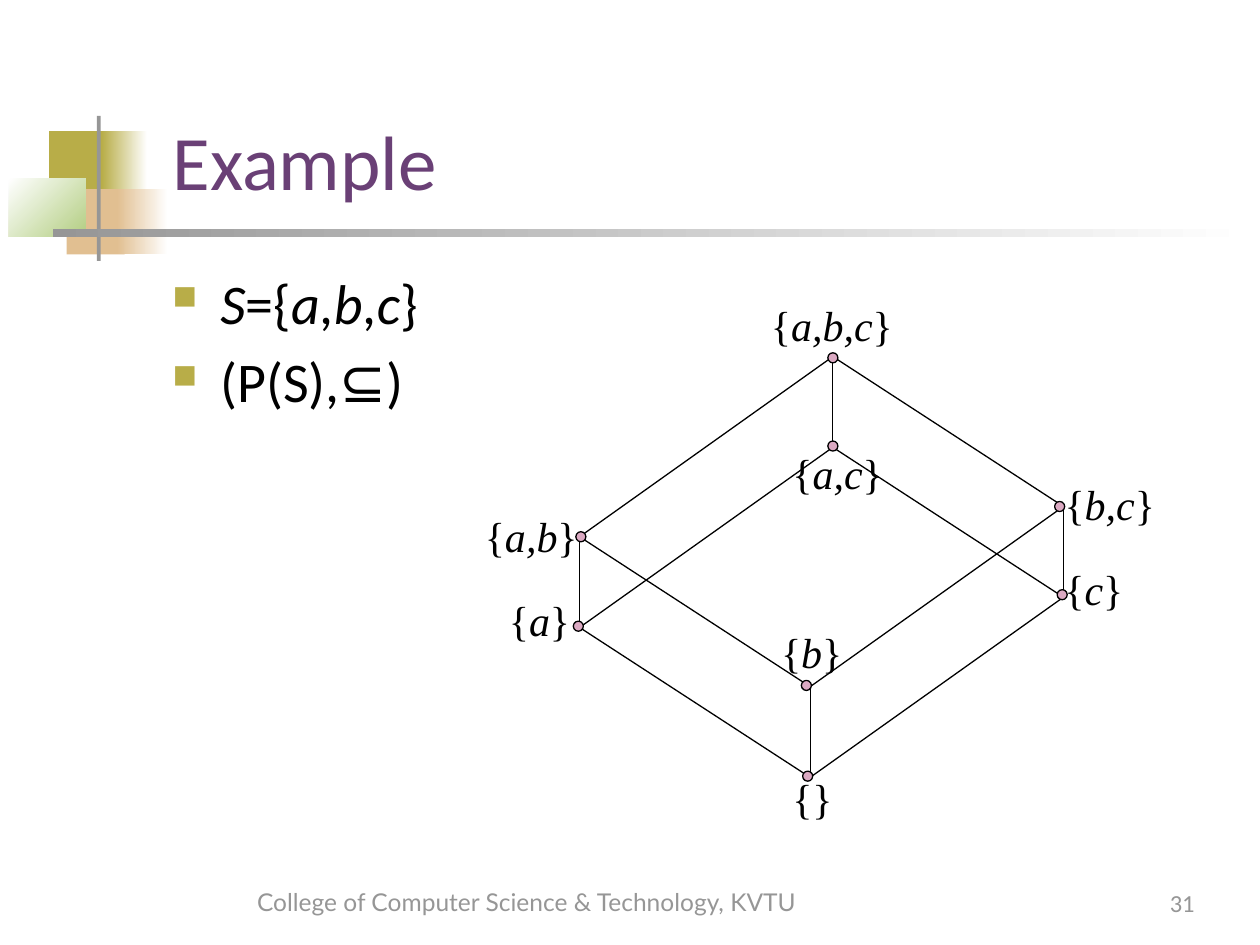
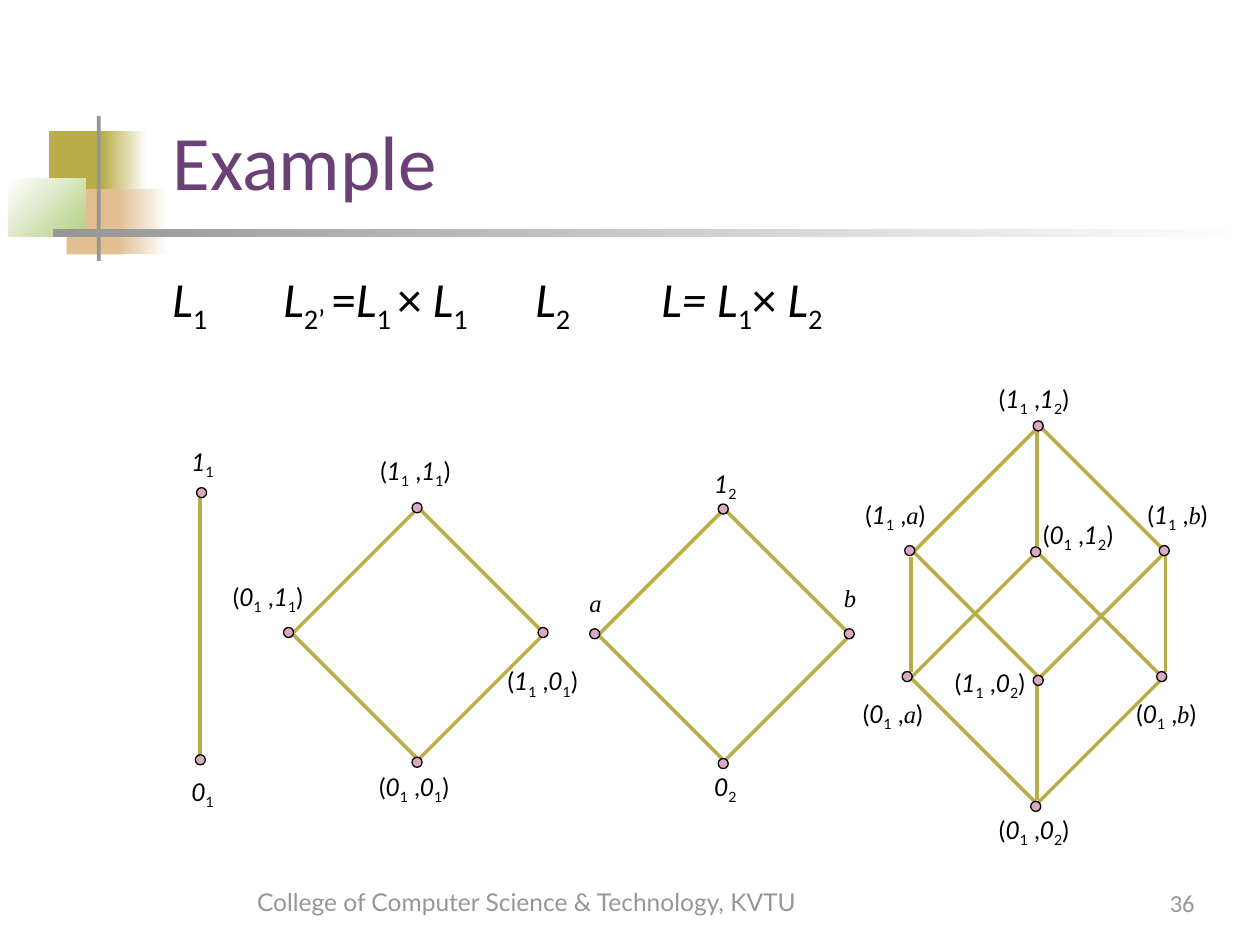
import itertools

import pptx
import pptx.dml.color
import pptx.enum.shapes
import pptx.enum.text
import pptx.oxml
import pptx.oxml.ns
import pptx.util
from pptx.util import Inches

SHAPE = pptx.enum.shapes.MSO_SHAPE
ANCHOR = pptx.enum.text.MSO_ANCHOR
ALIGN = pptx.enum.text.PP_ALIGN

OLIVE, TAN, GREEN, GRAY = "B8AD48", "E1BF91", "B3CE82", "969696"
PURPLE, PINK, BLACK, WHITE = "6A4076", "DBA9C2", "000000", "FFFFFF"
SANS, LABEL_FONT, SERIF = "Calibri", "Lato", "Times New Roman"
DOT_SIZE = 0.08
DIAMOND_SIZE = 2

# left, top, width, height, fill colour or gradient (start, end, angle)
DECORATIONS = [
    (0.39, 1.04, 0.48, 0.52, OLIVE),
    (0.81, 1.04, 0.36, 0.52, (OLIVE, WHITE, 0)),
    (0.53, 1.5, 0.46, 0.52, TAN),
    (0.93, 1.5, 0.4, 0.52, (TAN, WHITE, 0)),
    (0.07, 1.42, 0.61, 0.46, (WHITE, GREEN, 315)),
    (0.77, 0.92, 0.03, 1.15, GRAY),
    (0.42, 1.82, 9.51, 0.06, (GRAY, WHITE, 0)),
]

# Each generator of the power set moves a vertex of the cube by a fixed step.
EMPTY_SET_POINT = (6.43, 6.17)
GENERATOR_STEPS = {"a": (-1.83, -1.19), "b": (0, -0.72), "c": (2.01, -1.43)}

# subset: dot position, label position and label width
SUBSETS = {
    "": ((6.37, 6.12), (6.19, 6.08), 0.52),
    "a": ((4.55, 4.93), (3.94, 4.67), 0.75),
    "b": ((6.36, 5.4), (6.1, 4.92), 0.69),
    "c": ((8.39, 4.68), (8.35, 4.42), 0.67),
    "ab": ((4.57, 4.22), (3.75, 4), 0.94),
    "ac": ((6.57, 3.5), (6.19, 3.5), 0.92),
    "bc": ((8.37, 3.98), (8.35, 3.75), 0.92),
    "abc": ((6.57, 2.8), (6.02, 2.33), 1.17),
}

LATTICE_HEADINGS = ["*L*_1_", "*L*_2’ _=*L*_1 _× *L*_1_", "*L*_2_", "*L= L*_1_× *L*_2_"]
DIAMONDS = [(4.75, 4.04), (2.32, 4.03), (7.25, 3.38), (7.23, 4.38)]
CHAIN_DOTS = [(1.55, 5.99), (1.56, 3.87)]
LATTICE_LINES = [
    ((1.59, 3.95), (1.59, 6.03)),
    ((7.23, 4.42), (7.23, 5.33)),
    ((9.25, 4.41), (9.25, 5.33)),
    ((8.23, 5.43), (8.23, 6.35)),
    ((8.23, 3.41), (8.23, 4.33)),
]
ELEMENT_LABELS = [
    (1.42, 3.5, "11"), (1.42, 6.12, "01"),
    (5.57, 3.67, "12"), (5.57, 6.08, "02"),
    (4.58, 4.62, "a"), (6.6, 4.58, "b"),
]
PAIR_LABELS = [
    (2.92, 3.57, "11", "11"), (2.91, 6.08, "01", "01"),
    (1.75, 4.57, "01", "11"), (3.93, 5.24, "11", "01"),
    (7.83, 3, "11", "12"), (7.83, 6.42, "01", "02"),
    (6.77, 3.92, "11", "a"), (6.75, 5.5, "01", "a"),
    (9.01, 3.92, "11", "b"), (8.92, 5.5, "01", "b"),
    (8.18, 4.08, "01", "12"), (7.48, 5.25, "11", "02"),
]


def color(hex_string):
    return pptx.dml.color.RGBColor.from_string(hex_string)


def styled_pieces(markup):
    """Yield (text, styles); * toggles italic, _ subscript and ^ serif."""
    styles, text = set(), ""
    for character in markup:
        if character in "*_^":
            if text:
                yield text, frozenset(styles)
            text = ""
            styles ^= {character}
        else:
            text += character
    if text:
        yield text, frozenset(styles)


def write_markup(paragraph, markup, size, font, hex_color=BLACK):
    for text, styles in styled_pieces(markup):
        run = paragraph.add_run()
        run.text = text
        run.font.size = pptx.util.Pt(size)
        run.font.name = SERIF if "^" in styles else font
        run.font.color.rgb = color(hex_color)
        run.font.italic = "*" in styles
        if "_" in styles:
            run._r.get_or_add_rPr().set("baseline", "-25000")


def add_text(slide, box, markup, size, font, hex_color=BLACK,
             anchor=ANCHOR.TOP, align=ALIGN.LEFT, wrap=True):
    shape = slide.shapes.add_textbox(*map(Inches, box))
    frame = shape.text_frame
    frame.word_wrap = wrap
    frame.vertical_anchor = anchor
    if not wrap:
        frame.auto_size = pptx.enum.text.MSO_AUTO_SIZE.SHAPE_TO_FIT_TEXT
    for index, line in enumerate(markup.split("\n")):
        paragraph = frame.paragraphs[0] if index == 0 else frame.add_paragraph()
        paragraph.alignment = align
        write_markup(paragraph, line, size, font, hex_color)
    return shape


def add_body(slide, markup, size, bulleted):
    shape = add_text(slide, (1.27, 2.08, 8.5, 4.5), markup, size, SANS)
    for paragraph in shape.text_frame.paragraphs:
        paragraph.space_before = pptx.util.Pt(size * 0.2)
        properties = paragraph._p.get_or_add_pPr()
        properties.set("marL", str(Inches(0.38)))
        properties.set("indent", str(Inches(-0.38)))
        if bulleted:
            namespace = pptx.oxml.ns.nsdecls("a")
            for xml in (
                f'<a:buClr {namespace}><a:srgbClr val="{OLIVE}"/></a:buClr>',
                f'<a:buSzPct {namespace} val="60000"/>',
                f'<a:buChar {namespace} char="■"/>',
            ):
                properties.append(pptx.oxml.parse_xml(xml))


def add_preset(slide, preset, box, fill=None, line=None, line_width=0.75):
    shape = slide.shapes.add_shape(preset, *map(Inches, box))
    shape.shadow.inherit = False
    if fill is None:
        shape.fill.background()
    elif isinstance(fill, tuple):
        start, end, angle = fill
        shape.fill.gradient()
        shape.fill.gradient_angle = angle
        for stop, position, stop_color in zip(shape.fill.gradient_stops, (0, 1), (start, end)):
            stop.position = position
            stop.color.rgb = color(stop_color)
    else:
        shape.fill.solid()
        shape.fill.fore_color.rgb = color(fill)
    if line is None:
        shape.line.fill.background()
    else:
        shape.line.color.rgb = color(line)
        shape.line.width = pptx.util.Pt(line_width)


def add_line(slide, start, end, hex_color, width):
    connector = slide.shapes.add_connector(
        pptx.enum.shapes.MSO_CONNECTOR.STRAIGHT, *map(Inches, (*start, *end)))
    connector.line.color.rgb = color(hex_color)
    connector.line.width = pptx.util.Pt(width)
    effects = f'<a:effectLst {pptx.oxml.ns.nsdecls("a")}/>'
    connector._element.spPr.append(pptx.oxml.parse_xml(effects))


def add_dot(slide, left, top):
    add_preset(slide, SHAPE.OVAL, (left, top, DOT_SIZE, DOT_SIZE), PINK, BLACK)


def add_diamond(slide, left, top):
    """Draw a four-element lattice: a diamond with a dot at each corner."""
    add_preset(slide, SHAPE.DIAMOND, (left, top, DIAMOND_SIZE, DIAMOND_SIZE),
               line=OLIVE, line_width=2)
    for across, down in ((0.95, -0.04), (0.95, 1.98), (-0.07, 0.95), (1.95, 0.95)):
        add_dot(slide, left + across, top + down)


def element(name):
    """Mark up a lattice element: a serif letter, or a digit with its index."""
    return f"^*{name}*^" if name.isalpha() else f"*{name[0]}*_{name[1:]}_"


def add_lattice_label(slide, left, top, width, markup):
    add_text(slide, (left, top, width, 0.33), markup, 14, LABEL_FONT, wrap=False)


def subset_point(subset):
    points = [EMPTY_SET_POINT] + [GENERATOR_STEPS[member] for member in subset]
    return tuple(map(sum, zip(*points)))


def add_base_slide(presentation, number):
    slide = presentation.slides.add_slide(presentation.slide_layouts[6])
    for *box, fill in DECORATIONS:
        add_preset(slide, SHAPE.RECTANGLE, box, fill)
    add_text(slide, (1.27, 0.43, 8.52, 1.25), "Example", 44, SANS, PURPLE, ANCHOR.BOTTOM)
    add_text(slide, (1.27, 6.82, 5.82, 0.5), "College of Computer Science & Technology, KVTU",
             14, LABEL_FONT, GRAY, ANCHOR.BOTTOM, ALIGN.CENTER)
    add_text(slide, (7.5, 6.83, 2.08, 0.5), str(number), 14, SANS, GRAY,
             ANCHOR.BOTTOM, ALIGN.RIGHT)
    return slide


def add_power_set_slide(presentation):
    slide = add_base_slide(presentation, 31)
    add_body(slide, "*S*={*a*,*b*,*c*}\n(P(S),⊆)", 32, bulleted=True)
    for lower, upper in itertools.permutations(SUBSETS, 2):
        if set(lower) < set(upper) and len(upper) == len(lower) + 1:
            add_line(slide, subset_point(lower), subset_point(upper), BLACK, 0.75)
    for subset, (dot, label, width) in SUBSETS.items():
        members = f"*{','.join(subset)}*" if subset else ""
        add_text(slide, (*label, width, 0.5), "{" + members + "}", 24, SERIF, wrap=False)
        add_dot(slide, *dot)


def add_product_slide(presentation):
    slide = add_base_slide(presentation, 36)
    add_body(slide, "\t\t".join(LATTICE_HEADINGS), 28, bulleted=False)
    for start, end in LATTICE_LINES:
        add_line(slide, start, end, OLIVE, 2.25)
    for corner in DIAMONDS:
        add_diamond(slide, *corner)
    for dot in CHAIN_DOTS:
        add_dot(slide, *dot)
    for left, top, name in ELEMENT_LABELS:
        width = 0.3 if name.isalpha() else 0.38
        add_lattice_label(slide, left, top, width, element(name))
    for left, top, first, second in PAIR_LABELS:
        width = 0.74 if second.isalpha() else 0.82
        add_lattice_label(slide, left, top, width, f"({element(first)} ,{element(second)})")


def main():
    presentation = pptx.Presentation()
    presentation.slide_width = Inches(10)
    presentation.slide_height = Inches(7.5)
    add_power_set_slide(presentation)
    add_product_slide(presentation)
    presentation.save("out.pptx")


if __name__ == "__main__":
    main()
